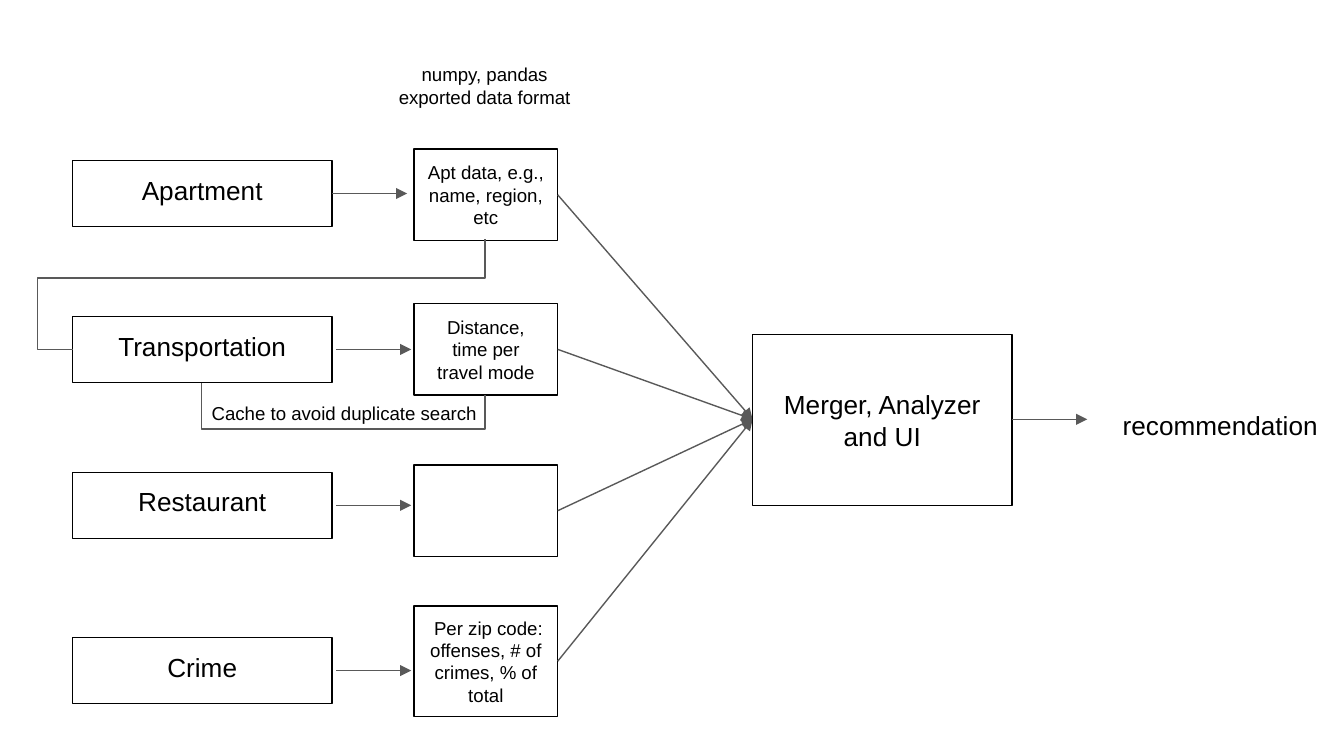
from lxml.etree import SubElement
from pptx import Presentation
from pptx.dml.color import RGBColor
from pptx.enum.shapes import MSO_CONNECTOR, MSO_SHAPE
from pptx.enum.text import MSO_ANCHOR, PP_ALIGN
from pptx.oxml.ns import qn
from pptx.util import Inches, Pt

BLACK = RGBColor(0x00, 0x00, 0x00)
GRAY = RGBColor(0x59, 0x59, 0x59)
FONT = "Arial"
LARGE, SMALL = 14, 10
WIDE = 10

# source, its middle, arrow start, data text, data top, data height
ROWS = [
    ("Apartment", 1.44, 2.47, "Apt data, e.g., name, region, etc", 1.11, 0.68),
    ("Transportation", 2.6, 2.5, "Distance, time per travel mode", 2.26, 0.68),
    ("Restaurant", 3.76, 2.5, "", 3.46, 0.68),
    ("Crime", 4.99, 2.5,
     " Per zip code: offenses, # of crimes, % of total", 4.51, 0.82),
]
LABELS = [
    ("recommendation", (8.16, 2.85, 1.84, 0.63), LARGE),
    ("numpy, pandas exported data format", (2.78, 0.34, 1.65, 0.59), SMALL),
    ("Cache to avoid duplicate search", (1.36, 2.95, 2.4, 0.25), SMALL),
]
# start, end, preset, bend positions
BENDS = [
    ((3.61, 1.78), (0.54, 2.6), "bentConnector4", (35100, 108500)),
    ((3.61, 2.94), (1.5, 2.85), "bentConnector3", (-280000,)),
]
SOURCE_X, SOURCE_W, SOURCE_H = 0.54, 1.93, 0.49
DATA_X, DATA_W = 3.08, 1.07
MERGER = (5.6, 2.49, 1.93, 1.27)
MERGER_Y = 3.12
ARROW = 0.56

deck = Presentation()
deck.slide_width, deck.slide_height = Inches(WIDE), Inches(WIDE * 9 / 16)
slide = deck.slides.add_slide(deck.slide_layouts[6])
shapes = slide.shapes


def write(shape, text, size, anchor=MSO_ANCHOR.MIDDLE):
    """Put centred, wrapped text into a shape."""
    frame = shape.text_frame
    frame.word_wrap = True
    frame.vertical_anchor = anchor
    frame.margin_left = frame.margin_right = Inches(0.1)
    frame.margin_top = frame.margin_bottom = Inches(0.1)
    frame.text = text
    line = frame.paragraphs[0]
    line.alignment = PP_ALIGN.CENTER
    line.font.name = FONT
    line.font.size = Pt(size)
    line.font.color.rgb = BLACK


def box(area, text, size, anchor=MSO_ANCHOR.MIDDLE):
    """Draw an outlined box, with text if there is any."""
    shape = shapes.add_shape(MSO_SHAPE.RECTANGLE, *map(Inches, area))
    shape.shadow.inherit = False
    shape.fill.background()
    shape.line.color.rgb = BLACK
    shape.line.width = Pt(0.75)
    if text:
        write(shape, text, size, anchor)


def link(kind, start, end):
    """Draw a plain gray connector."""
    line = shapes.add_connector(kind, *map(Inches, start + end))
    line.line.color.rgb = GRAY
    line.line.width = Pt(0.75)
    SubElement(line._element.spPr, qn("a:effectLst"))
    return line


def arrow(start, end):
    """Draw a straight connector with a triangle at its end."""
    line = link(MSO_CONNECTOR.STRAIGHT, start, end)
    SubElement(line.line._get_or_add_ln(), qn("a:tailEnd"), type="triangle")


def bend(start, end, preset, stops):
    """Draw a bent connector that leaves downward, by a quarter turn."""
    (x1, y1), (x2, y2) = start, end
    mid_x, mid_y = (x1 + x2) / 2, (y1 + y2) / 2
    half_w, half_h = (y2 - y1) / 2, (x1 - x2) / 2
    line = link(MSO_CONNECTOR.ELBOW, (mid_x - half_w, mid_y - half_h),
                (mid_x + half_w, mid_y + half_h))
    props = line._element.spPr
    props.find(qn("a:xfrm")).set("rot", "5400000")
    geom = props.find(qn("a:prstGeom"))
    geom.set("prst", preset)
    guides = geom.find(qn("a:avLst"))
    if guides is None:
        guides = SubElement(geom, qn("a:avLst"))
    for num, stop in enumerate(stops, 1):
        SubElement(guides, qn("a:gd"), name=f"adj{num}", fmla=f"val {stop}")


for source, mid, start, data, top, high in ROWS:
    box((SOURCE_X, mid - SOURCE_H / 2, SOURCE_W, SOURCE_H),
        source, LARGE, MSO_ANCHOR.TOP)
    arrow((start, mid), (start + ARROW, mid))
    box((DATA_X, top, DATA_W, high), data, SMALL)
    arrow((DATA_X + DATA_W, top + high / 2), (MERGER[0], MERGER_Y))

box(MERGER, "Merger, Analyzer and UI", LARGE)
out = MERGER[0] + MERGER[2]
arrow((out, MERGER_Y), (out + ARROW, MERGER_Y))

for route in BENDS:
    bend(*route)

for text, area, size in LABELS:
    write(shapes.add_textbox(*map(Inches, area)), text, size)

deck.save("out.pptx")
